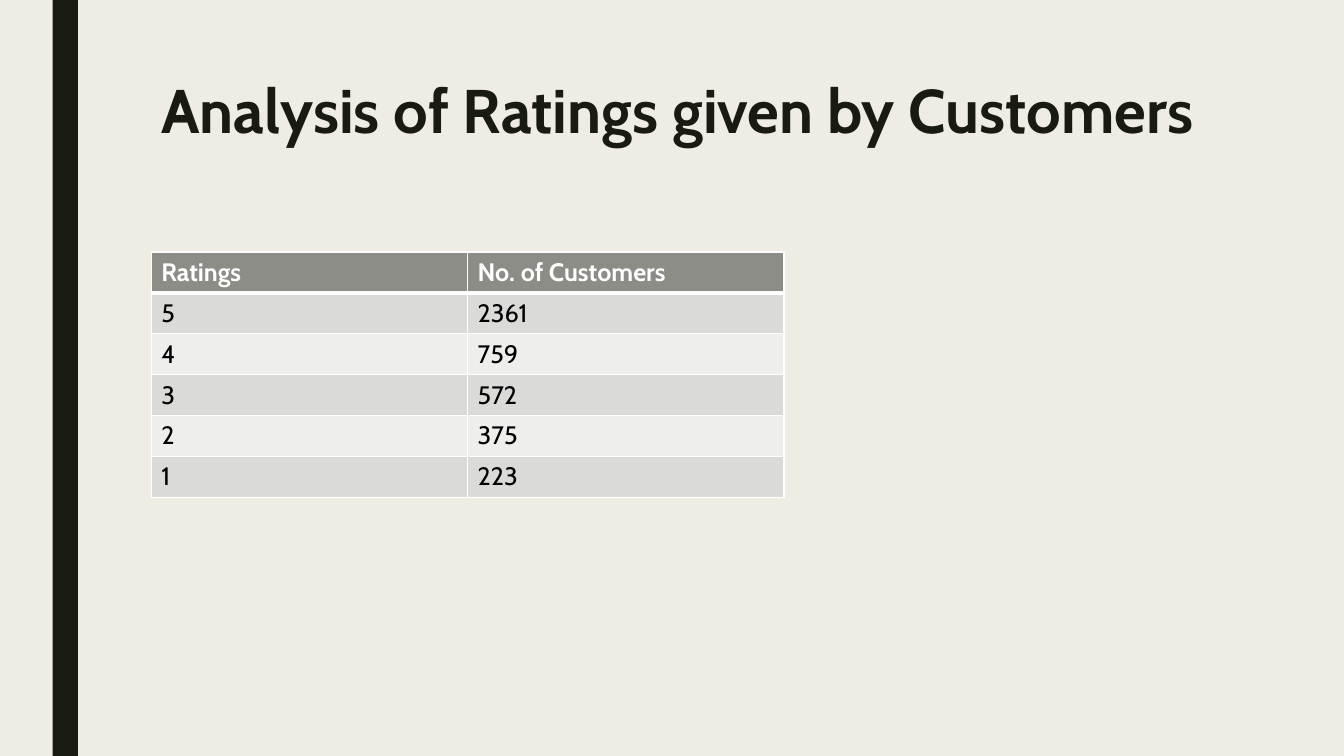
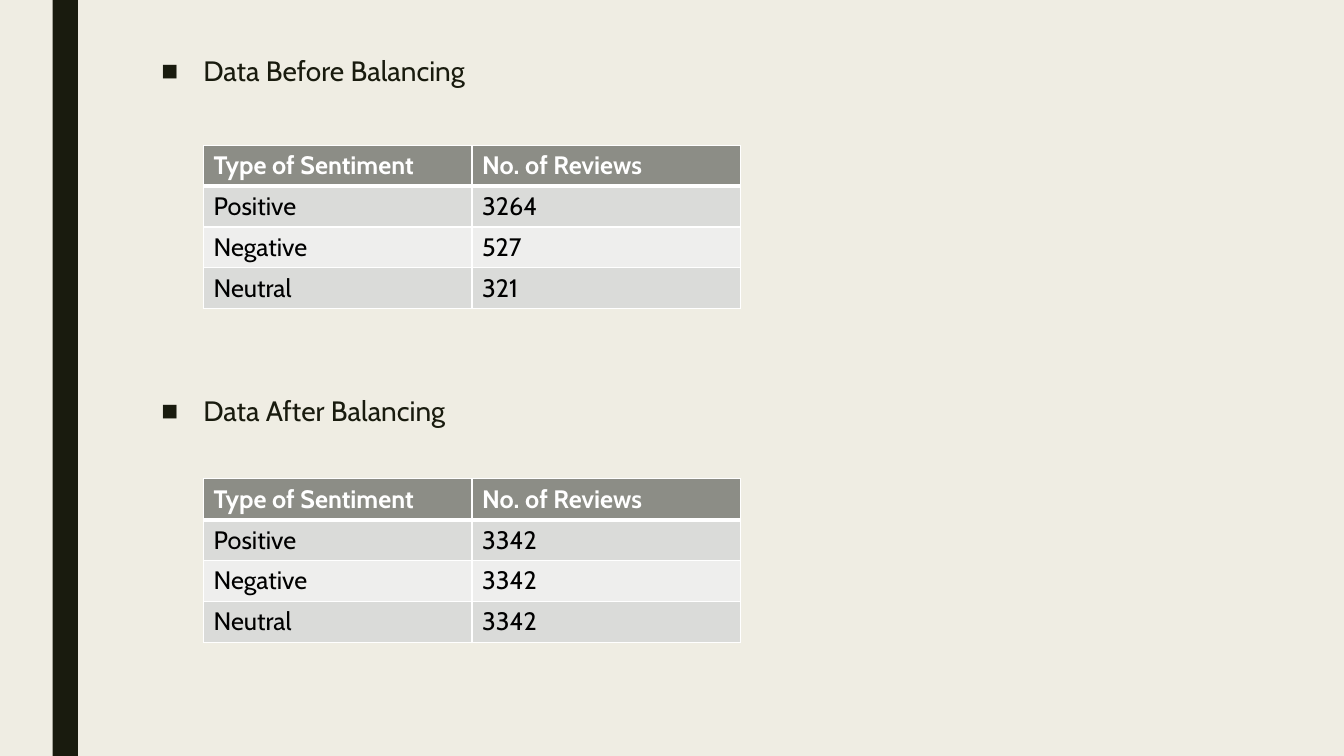
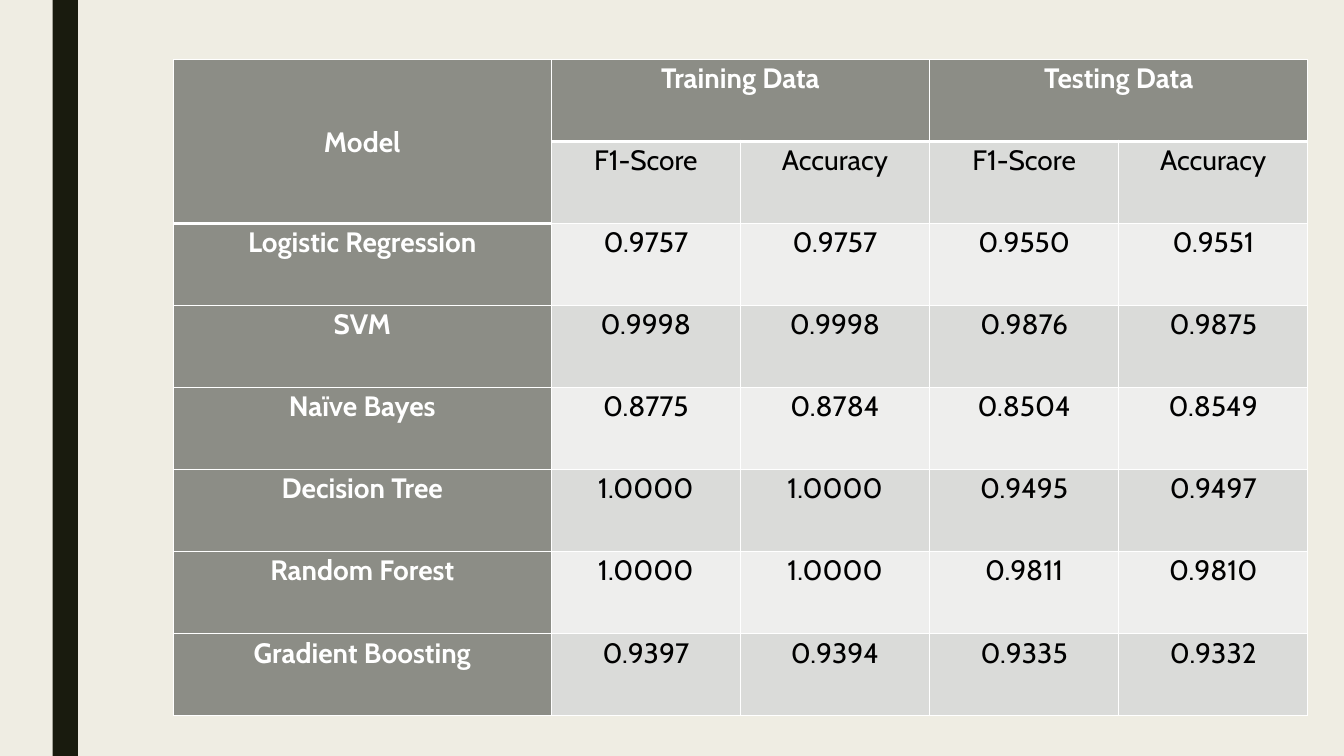
"""Build three slides on customer ratings, class balancing and model scores."""
from lxml import etree
from pptx import Presentation
from pptx.dml.color import RGBColor
from pptx.enum import shapes, text
from pptx.oxml.ns import qn
from pptx.util import Pt

COLORS = {
    "page": "EFEDE3",
    "ink": "191B0E",
    "header": "8C8D86",
    "odd": "DADBD9",
    "even": "EEEEED",
    "white": "FFFFFF",
    "black": "000000",
}
FONT = "Cabin"
TITLE = "Analysis of Ratings given by Customers"
RATINGS = [
    ("Ratings", "No. of Customers"),
    ("5", "2361"),
    ("4", "759"),
    ("3", "572"),
    ("2", "375"),
    ("1", "223"),
]
SENTIMENT_HEADER = ("Type of Sentiment", "No. of Reviews")
BALANCING = [
    ("Data Before Balancing", 103.7,
     [("Positive", "3264"), ("Negative", "527"), ("Neutral", "321")]),
    ("Data After Balancing", 342,
     [("Positive", "3342"), ("Negative", "3342"), ("Neutral", "3342")]),
]
SCORES = [
    ("Model", "Training Data", None, "Testing Data", None),
    (None, "F1-Score", "Accuracy", "F1-Score", "Accuracy"),
    ("Logistic Regression", "0.9757", "0.9757", "0.9550", "0.9551"),
    ("SVM", "0.9998", "0.9998", "0.9876", "0.9875"),
    ("Naïve Bayes", "0.8775", "0.8784", "0.8504", "0.8549"),
    ("Decision Tree", "1.0000", "1.0000", "0.9495", "0.9497"),
    ("Random Forest", "1.0000", "1.0000", "0.9811", "0.9810"),
    ("Gradient Boosting", "0.9397", "0.9394", "0.9335", "0.9332"),
]
SCORE_MERGES = [((0, 0), (1, 0)), ((0, 1), (0, 2)), ((0, 3), (0, 4))]


def color(name):
    return RGBColor.from_string(COLORS[name])


def write(frame, lines, size, ink="ink", bold=False, align="LEFT", spacing=1.0,
          gap=0, after=0, bullet=None, indent=0):
    for i, line in enumerate(lines):
        para = frame.paragraphs[0] if i == 0 else frame.add_paragraph()
        run = para.add_run()
        run.text = line
        if bullet:
            props = para._p.get_or_add_pPr()
            props.set("marL", str(Pt(indent)))
            props.set("indent", str(-Pt(indent)))
            etree.SubElement(props, qn("a:buFont"), typeface="Arial")
            etree.SubElement(props, qn("a:buChar"), char=bullet)
        para.alignment = getattr(text.PP_ALIGN, align)
        para.line_spacing = spacing
        para.space_before = Pt(gap if i else 0)
        para.space_after = Pt(after)
        run.font.name = FONT
        run.font.size = Pt(size)
        run.font.bold = bold
        run.font.color.rgb = color(ink)


def place(holder, left, top, width, height):
    holder.left, holder.top = Pt(left), Pt(top)
    holder.width, holder.height = Pt(width), Pt(height)
    holder.text_frame.auto_size = text.MSO_AUTO_SIZE.NONE
    holder.text_frame.vertical_anchor = text.MSO_ANCHOR.TOP
    return holder.text_frame


def set_borders(cell, top, bottom):
    props = cell._tc.get_or_add_tcPr()
    sides = (("L", 1), ("R", 1), ("T", top), ("B", bottom))
    for i, (side, width) in enumerate(sides):
        line = etree.Element(qn(f"a:ln{side}"), w=str(Pt(width)))
        fill = etree.SubElement(line, qn("a:solidFill"))
        etree.SubElement(fill, qn("a:srgbClr"), val=COLORS["white"])
        props.insert(i, line)


def add_grid(slide, rows, left, top, col_widths, row_height, size=18,
             merges=(), head_column=False, margins=None, **format):
    grid = slide.shapes.add_table(
        len(rows), len(col_widths), Pt(left), Pt(top),
        Pt(sum(col_widths)), Pt(row_height * len(rows))).table
    for column, width in zip(grid.columns, col_widths):
        column.width = Pt(width)
    for start, end in merges:
        grid.cell(*start).merge(grid.cell(*end))
    for r, row in enumerate(rows):
        grid.rows[r].height = Pt(row_height)
        for c, label in enumerate(row):
            cell = grid.cell(r, c)
            depth = grid.cell(0, c).span_height if grid.cell(0, c).is_merge_origin else 1
            is_head = r < depth or (head_column and c == 0)
            cell.fill.solid()
            cell.fill.fore_color.rgb = color(
                "header" if is_head else "odd" if r % 2 else "even")
            set_borders(cell, 3 if r == depth else 1, 3 if r < depth else 1)
            if margins:
                cell.margin_left = cell.margin_right = Pt(margins[0])
                cell.margin_top = cell.margin_bottom = Pt(margins[1])
            if cell.is_merge_origin and cell.span_height > 1:
                cell.vertical_anchor = text.MSO_ANCHOR.MIDDLE
            if label:
                write(cell.text_frame, [label], size,
                      "white" if is_head else "black", is_head, **format)


def style_master(prs, slide):
    master = prs.slide_master
    master.background.fill.solid()
    master.background.fill.fore_color.rgb = color("page")
    band = slide.shapes.add_shape(
        shapes.MSO_SHAPE.RECTANGLE, Pt(37.6), 0, Pt(18), prs.slide_height)
    band.shadow.inherit = False
    band.fill.solid()
    band.fill.fore_color.rgb = color("ink")
    band.line.fill.background()
    band.element.nvSpPr.cNvPr.set("id", "20")
    master.shapes.element.insert(2, band.element)


def main():
    prs = Presentation()
    prs.slide_width, prs.slide_height = Pt(960), Pt(540)
    title_only, title_body, blank = (prs.slide_layouts[i] for i in (5, 1, 6))

    ratings = prs.slides.add_slide(title_only)
    style_master(prs, ratings)
    write(place(ratings.shapes.title, 108, 54, 756, 116.6), [TITLE], 44,
          bold=True, spacing=0.89)
    add_grid(ratings, RATINGS, 108, 180, [226, 226], 29.2)

    balancing = prs.slides.add_slide(title_body)
    unused = balancing.shapes.title.element
    unused.getparent().remove(unused)
    write(place(balancing.placeholders[1], 108, 36.7, 823.7, 476.6),
          [heading for heading, _, _ in BALANCING], 20,
          spacing=0.94, gap=218, after=2, bullet="■", indent=30)
    for _, top, counts in BALANCING:
        add_grid(balancing, [SENTIMENT_HEADER] + counts, 145.4, top,
                 [191.8, 191.8], 29.2)

    scores = prs.slides.add_slide(blank)
    add_grid(scores, SCORES, 123.8, 42.4, [270] + [135.1] * 4, 58.6, size=20,
             merges=SCORE_MERGES, head_column=True, margins=(5, 0),
             align="CENTER", spacing=1.07, after=8)
    prs.save("out.pptx")


if __name__ == "__main__":
    main()
